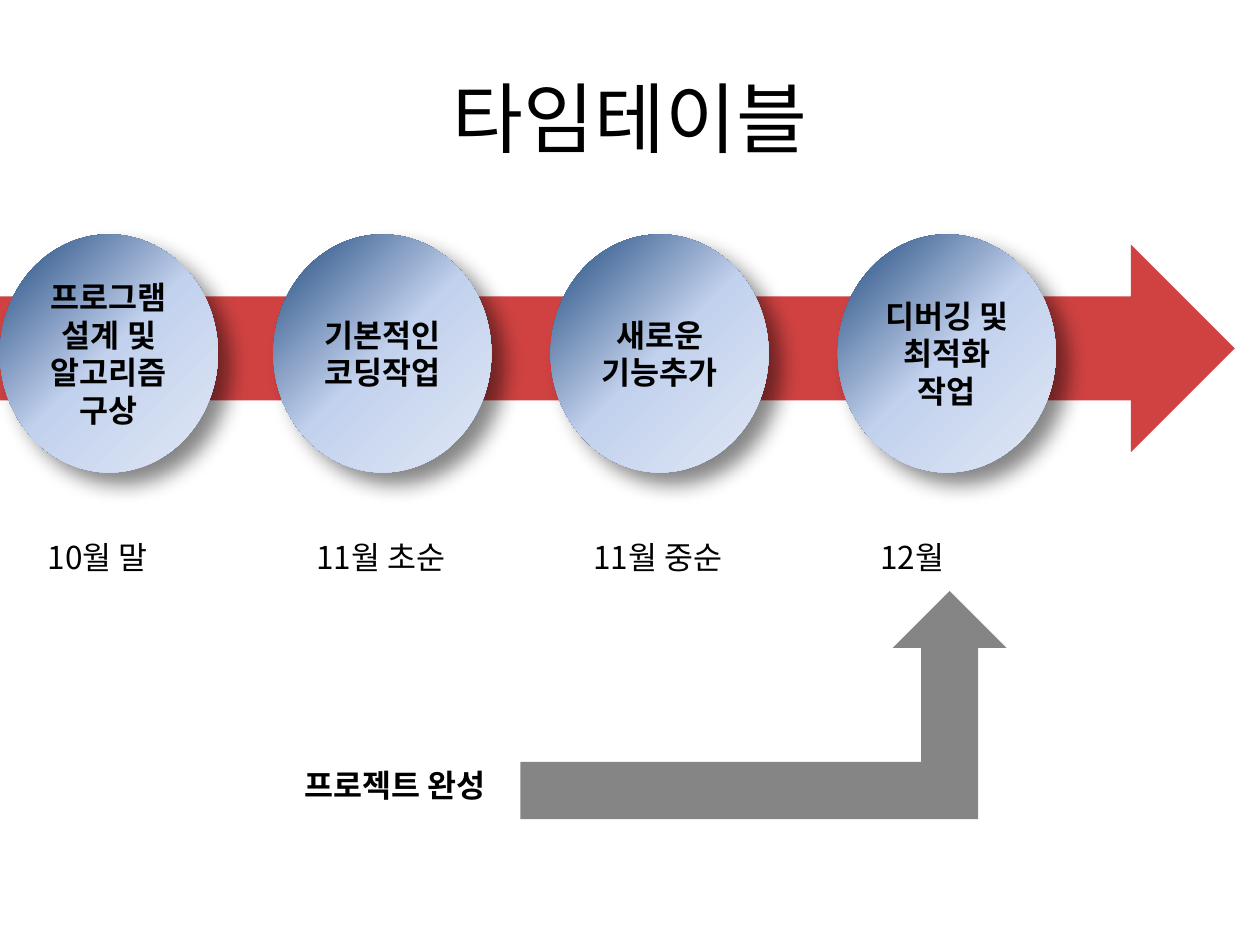
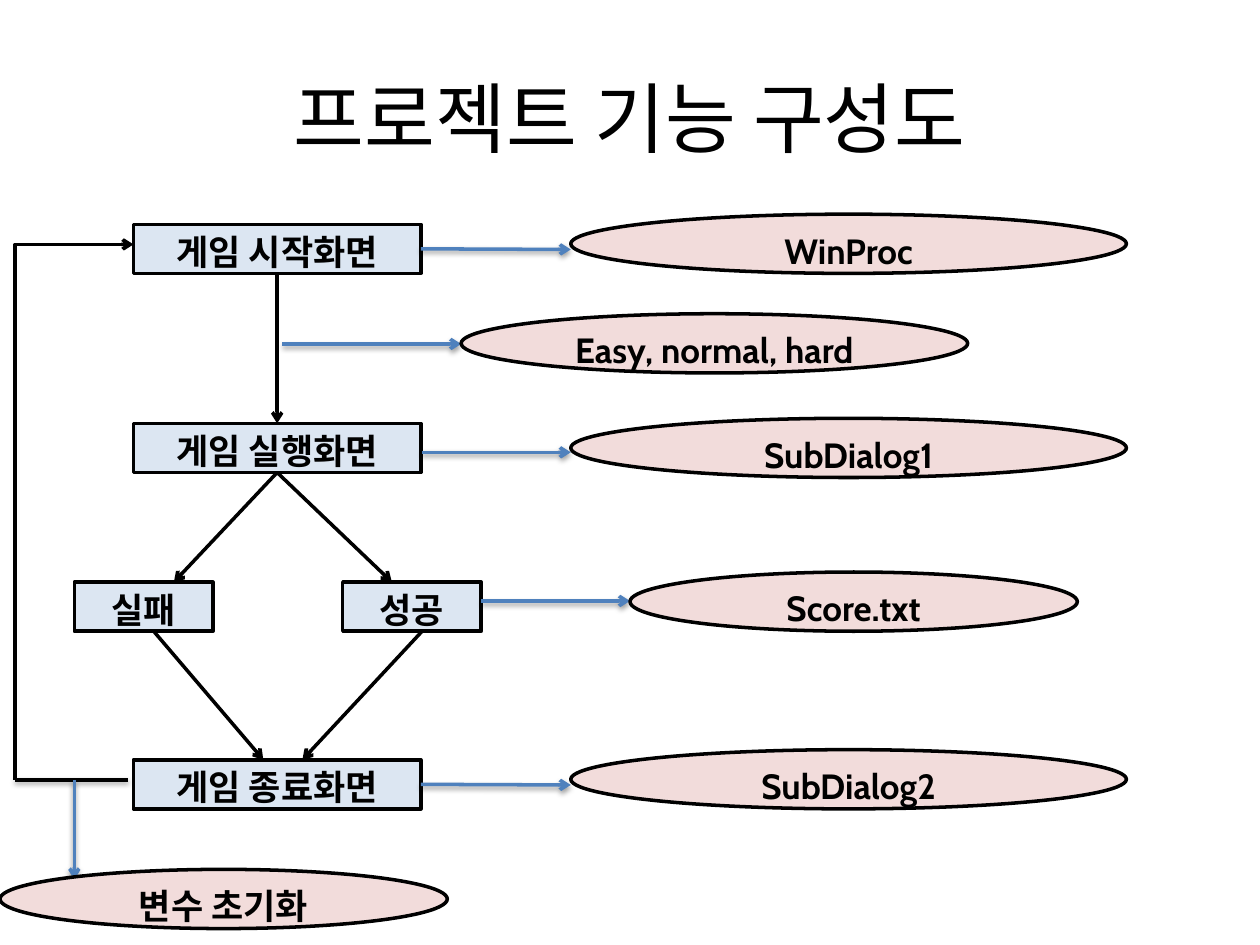
from dataclasses import dataclass

from lxml.etree import SubElement
from pptx import Presentation
from pptx.dml.color import RGBColor
from pptx.enum.shapes import MSO_CONNECTOR, MSO_SHAPE
from pptx.enum.text import MSO_ANCHOR, PP_ALIGN
from pptx.oxml.ns import qn
from pptx.util import Inches, Pt


@dataclass(frozen=True)
class Theme:
    """Colours, fonts, type sizes and shadows shared by the slides."""
    ink: str = "000000"
    band: str = "C00000"
    accent: str = "4F81BD"
    step: str = "DCE6F2"
    note: str = "F2DCDB"
    ball: tuple = ((0, "1F497D"), (50, "C2D1ED"), (100, "E1E8F5"))
    korean: str = "Noto Sans CJK KR"
    latin: str = "Cabin"
    title: int = 44
    body: int = 18
    flow: int = 20
    line: int = 2
    ball_shadow: tuple = (48, 12, 10, 42)
    line_shadow: tuple = (38, 3.1, 1.6, 90)


T = Theme()


@dataclass(frozen=True)
class Box:
    """A region of a slide, in inches."""
    x: float
    y: float
    w: float
    h: float

    def inner(self, x, y, w, h):
        """Return a box placed relative to this one."""
        return Box(self.x + x, self.y + y, w, h)

    def point(self, x, y):
        """Return a slide position for a point in this box."""
        return Inches(self.x + x), Inches(self.y + y)

    def emu(self):
        """Return left, top, width and height as lengths."""
        return [Inches(v) for v in (self.x, self.y, self.w, self.h)]


def put_text(tf, text, size=T.body, bold=False, font=T.korean,
             align=PP_ALIGN.CENTER, anchor=MSO_ANCHOR.MIDDLE):
    """Fill a text frame, one paragraph per line of text."""
    tf.word_wrap = True
    tf.vertical_anchor = anchor
    for i, line in enumerate(text.split("\n")):
        p = tf.add_paragraph() if i else tf.paragraphs[0]
        p.alignment = align
        r = p.add_run()
        r.text = line
        r.font.size, r.font.bold, r.font.name = Pt(size), bold, font
        r.font.color.rgb = RGBColor.from_string(T.ink)
        SubElement(r.font._element, qn("a:ea"), typeface=T.korean)


def add_text(s, box, text, **fmt):
    """Add a text box and return its text frame."""
    tf = s.shapes.add_textbox(*box.emu()).text_frame
    put_text(tf, text, **fmt)
    return tf


def add_color(parent, color, alpha=100):
    """Append a colour with an opacity in percent."""
    clr = SubElement(parent, qn("a:srgbClr"), val=color)
    if alpha < 100:
        SubElement(clr, qn("a:alpha"), val=str(alpha * 1000))


def add_shadow(effects, alpha, blur, dist, angle):
    """Append an outer shadow to an effect list."""
    shadow = SubElement(effects, qn("a:outerShdw"), blurRad=str(Pt(blur)),
                        dist=str(Pt(dist)), dir=str(angle * 60000),
                        algn="tl", rotWithShape="0")
    add_color(shadow, T.ink, alpha)


def add_block(s, kind, box, fill=None, alpha=100, line=None):
    """Add a preset shape with a flat fill and an optional outline."""
    sp = s.shapes.add_shape(kind, *box.emu())
    sp.shadow.inherit = False
    if fill:
        sp.fill.solid()
        sp.fill.fore_color.rgb = RGBColor.from_string(fill)
        if alpha < 100:
            clr = sp.element.spPr.find(".//" + qn("a:srgbClr"))
            SubElement(clr, qn("a:alpha"), val=str(alpha * 1000))
    if line:
        sp.line.color.rgb = RGBColor.from_string(line)
        sp.line.width = Pt(T.line)
    else:
        sp.line.fill.background()
    return sp


def add_link(s, start, end, color=T.ink, arrow=True, shadow=False,
             kind=MSO_CONNECTOR.STRAIGHT, begin_at=None, end_at=None):
    """Add a connector, joined to shapes where a side is given."""
    c = s.shapes.add_connector(kind, *start, *end)
    c.line.color.rgb = RGBColor.from_string(color)
    c.line.width = Pt(T.line)
    if arrow:
        ln = c.element.spPr.find(qn("a:ln"))
        SubElement(ln, qn("a:tailEnd"), type="arrow")
    effects = SubElement(c.element.spPr, qn("a:effectLst"))
    if shadow:
        add_shadow(effects, *T.line_shadow)
    if begin_at:
        c.begin_connect(*begin_at)
    if end_at:
        c.end_connect(*end_at)
    return c


def add_title(s, text):
    """Add the slide title."""
    add_text(s, Box(0.5, 0.3, 9, 1.25), text, size=T.title)


def add_ball(s, box, text):
    """Add one shaded milestone."""
    sp = add_block(s, MSO_SHAPE.FLOWCHART_CONNECTOR, box)
    sp.fill.gradient()
    sp.fill.gradient_angle = 315
    stops = sp.element.spPr.find(".//" + qn("a:gsLst"))
    for stop in list(stops):
        stops.remove(stop)
    for pos, color in T.ball:
        add_color(SubElement(stops, qn("a:gs"), pos=str(pos * 1000)), color)
    add_shadow(sp.element.spPr.find(qn("a:effectLst")), *T.ball_shadow)
    put_text(sp.text_frame, text, bold=True)


def add_timeline(s, box):
    """Add the band, its milestones and their dates."""
    milestones = [(0, "프로그램 설계 및 알고리즘 구상"), (2.17, "기본적인 코딩작업"),
                  (4.37, "새로운 기능추가"), (6.65, "디버깅 및 \n최적화 작업")]
    add_block(s, MSO_SHAPE.RIGHT_ARROW, box.inner(0, 0.08, box.w, 1.65), T.band, 74)
    for x, text in milestones:
        add_ball(s, box.inner(x, 0, 1.73, 1.89), text)
    tf = add_text(s, box.inner(0.28, 2.36, 9.21, 0.4),
                  "10월 말\t11월 초순\t11월 중순\t12월",
                  align=PP_ALIGN.LEFT, anchor=MSO_ANCHOR.TOP)
    tabs = SubElement(tf.paragraphs[0]._p.get_or_add_pPr(), qn("a:tabLst"))
    for x, _ in milestones[1:]:
        SubElement(tabs, qn("a:tab"), pos=str(Inches(x - 0.04)), algn="l")


def add_completion(s, box):
    """Add the completion label and the arrow to the last date."""
    add_block(s, MSO_SHAPE.BENT_UP_ARROW, box.inner(1.81, 0, 3.86, box.h), T.ink, 48)
    add_text(s, box.inner(0, 1.34, 1.89, 0.4), "프로젝트 완성", bold=True,
             align=PP_ALIGN.LEFT, anchor=MSO_ANCHOR.TOP)


def add_node(s, kind, box, fill, text):
    """Add an outlined, labelled node of the flow."""
    sp = add_block(s, kind, box, fill, line=T.ink)
    put_text(sp.text_frame, text, size=T.flow, bold=True, font=T.latin,
             anchor=MSO_ANCHOR.TOP)
    return sp


def add_return(s, box):
    """Add the right-angled arrow up the left of the box and into its top."""
    c = add_link(s, box.point(0, box.h), box.point(box.w, 0),
                 kind=MSO_CONNECTOR.ELBOW)
    mid_x, mid_y = box.x + box.w / 2, box.y + box.h / 2
    c.left, c.top = Inches(mid_x - box.h / 2), Inches(mid_y - box.w / 2)
    c.width, c.height = Inches(box.h), Inches(box.w)
    xfrm = c.element.spPr.find(qn("a:xfrm"))
    for name, value in (("rot", "5400000"), ("flipH", "1"), ("flipV", "1")):
        xfrm.set(name, value)
    c.element.spPr.find(qn("a:prstGeom")).set("prst", "bentConnector2")


def add_flow(s, box):
    """Add the game flow with its screens, links and notes."""
    steps = [("게임 시작화면", 1.06, 0.08, 2.28), ("게임 실행화면", 1.06, 1.66, 2.28),
             ("실패", 0.59, 2.92, 1.1), ("성공", 2.72, 2.92, 1.1),
             ("게임 종료화면", 1.06, 4.33, 2.28)]
    start, run, fail, win, end = [
        add_node(s, MSO_SHAPE.RECTANGLE, box.inner(x, y, w, 0.39), T.step, text)
        for text, x, y, w in steps]

    links = [((2.2, 0.47), (2.2, 1.66), (start, 2), (run, 0)),
             ((2.2, 2.05), (1.38, 2.92), (run, 2), None),
             ((2.2, 2.05), (3.11, 2.92), (run, 2), None),
             ((1.22, 3.31), (2.09, 4.33), None, None),
             ((3.35, 3.31), (2.4, 4.33), None, None)]
    for a, b, begin_at, end_at in links:
        add_link(s, box.point(*a), box.point(*b), begin_at=begin_at, end_at=end_at)
    add_return(s, box.inner(0.12, 0.24, 0.94, 4.25))
    add_link(s, box.point(0.12, 4.49), box.point(1.02, 4.49),
             arrow=False, shadow=True)

    notes = [("WinProc", 4.53, 0, 4.41, (3.35, 0.28), (4.53, 0.28), (start, 3)),
             ("Easy, normal, hard", 3.66, 0.79, 4.02, (2.24, 1.03), (3.66, 1.03), None),
             ("SubDialog1", 4.53, 1.62, 4.41, (3.35, 1.89), (4.53, 1.89), None),
             ("Score.txt", 5, 2.84, 3.55, (3.82, 3.07), (5, 3.07), None),
             ("SubDialog2", 4.53, 4.25, 4.41, (3.35, 4.53), (4.53, 4.53), (end, 3)),
             ("변수 초기화", 0, 5.2, 3.55, (0.59, 4.49), (0.59, 5.28), None)]
    for text, x, y, w, a, b, begin_at in notes:
        add_link(s, box.point(*a), box.point(*b), T.accent, shadow=True,
                 begin_at=begin_at)
        add_node(s, MSO_SHAPE.OVAL, box.inner(x, y, w, 0.47), T.note, text)


def build_timetable(s):
    """Build the timetable slide."""
    add_title(s, "타임테이블")
    add_timeline(s, Box(0, 1.86, 9.8, 2.76))
    add_completion(s, Box(2.32, 4.69, 5.67, 1.81))


def build_structure(s):
    """Build the feature structure slide."""
    add_title(s, "프로젝트 기능 구성도")
    add_flow(s, Box(0, 1.7, 8.94, 5.67))


def main():
    """Build the presentation and save it."""
    prs = Presentation()
    prs.slide_width, prs.slide_height = Inches(10), Inches(7.5)
    for build in (build_timetable, build_structure):
        build(prs.slides.add_slide(prs.slide_layouts[6]))
    prs.save("out.pptx")


if __name__ == "__main__":
    main()
